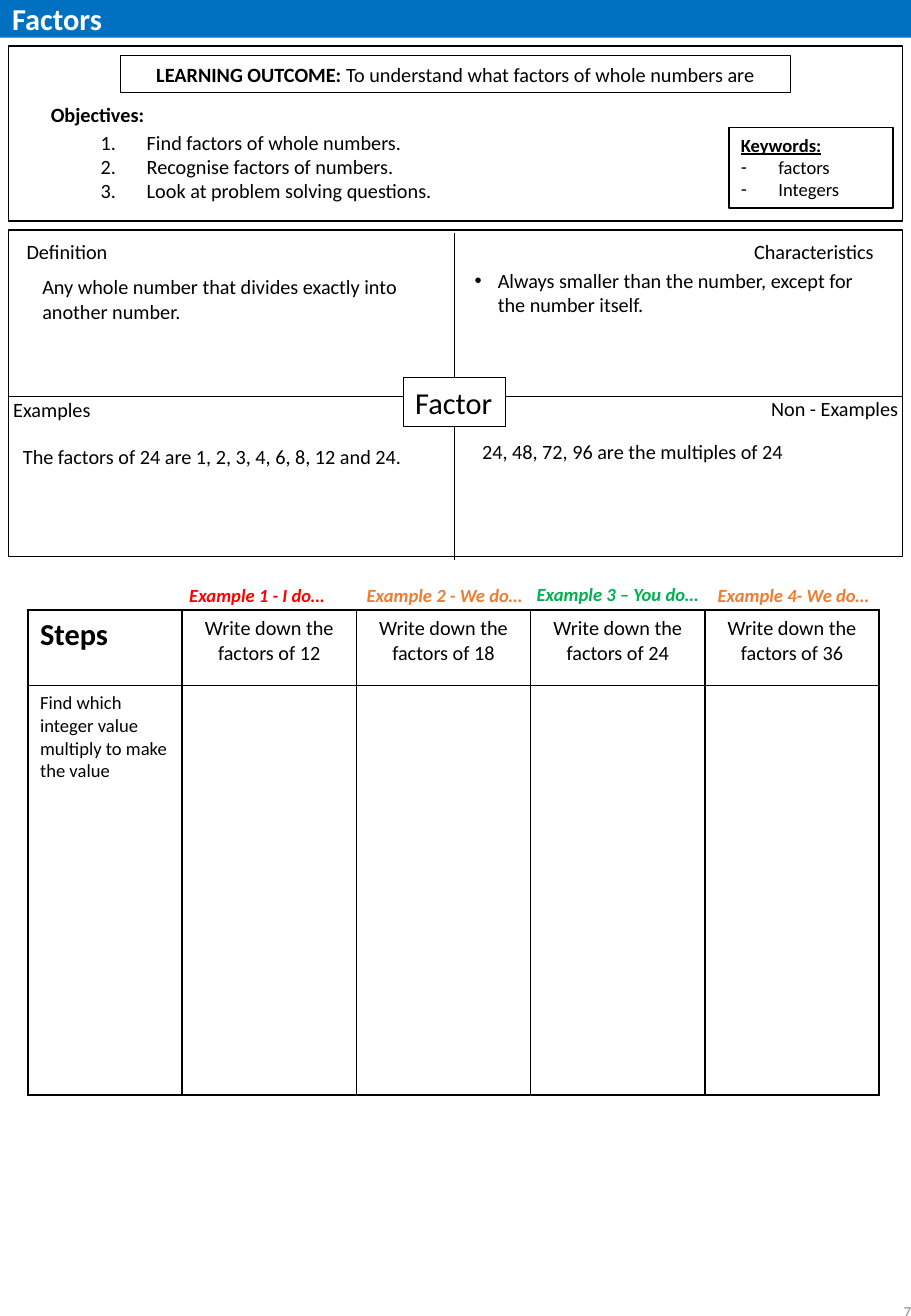
from lxml import etree
from pptx import Presentation
from pptx import util as u
from pptx.dml.color import RGBColor
from pptx.enum import shapes, text
from pptx.oxml.ns import qn

COLS, ROWS = 750, 1083
UNIT = u.Inches(0.01)
FONT = "Calibri"
COLORS = {"black": "000000", "white": "FFFFFF", "blue": "0070C0", "red": "FF0000",
          "orange": "ED7D31", "green": "00B050", "grey": "8C8C8C"}
LEFT, CENTER, RIGHT = text.PP_ALIGN.LEFT, text.PP_ALIGN.CENTER, text.PP_ALIGN.RIGHT

TITLE = "Factors"
PAGE_NUMBER = "7"
OUTCOME = [("LEARNING OUTCOME:", {"bold": True}),
           (" To understand what factors of whole numbers are", {})]
OBJECTIVES = ["Find factors of whole numbers.", "Recognise factors of numbers.",
              "Look at problem solving questions."]
KEYWORDS = ["factors", "Integers"]
QUADRANT_LABELS = [("Definition", (12, 192, 88, 30)), ("Characteristics", (611, 192, 120, 30)),
                   ("Examples", (1, 322, 85, 30)), ("Non - Examples", (625, 321, 126, 30))]
QUADRANT_TEXTS = [
    ("Any whole number that divides exactly into another number.", (25, 221, 334, 50), None),
    ("Always smaller than the number, except for the number itself.", (381, 216, 354, 50), "•"),
    ("The factors of 24 are 1, 2, 3, 4, 6, 8, 12 and 24.", (9, 361, 371, 30), None),
    ("24, 48, 72, 96 are the multiples of 24", (387, 357, 339, 30), None)]
EXAMPLES = [("Example 1 - I do…", "red", (146, 476, 133, 29)),
            ("Example 2 - We do…", "orange", (292, 476, 150, 29)),
            ("Example 3 – You do…", "green", (432, 475, 156, 29)),
            ("Example 4- We do…", "orange", (581, 476, 150, 29))]
EXAMPLE_NUMBERS = [12, 18, 24, 36]
STEP = "Find which integer value multiply to make the value"

MARGIN = 7
FRAME_WIDTH = COLS - 2 * MARGIN
OUTCOME_FRAME = (MARGIN, 38, FRAME_WIDTH, 144)
MODEL_FRAME = (MARGIN, 189, FRAME_WIDTH, 269)
DIVIDERS = [(MARGIN, 326, COLS - MARGIN, 326), (374, 192, 374, 461)]
STEP_COLUMN, EXAMPLE_COLUMN = 127, 143.5
HEADER_ROW, WORK_ROW = 62, 337


def color(name):
    return RGBColor.from_string(COLORS[name])


def grid(values):
    return [int(value * UNIT) for value in values]


def style(font, size=12, ink="black", **flags):
    font.name, font.size = FONT, u.Pt(size)
    font.color.rgb = color(ink)
    for flag, value in flags.items():
        setattr(font, flag, value)


def add_bullet(para, mark, indent):
    props = para._p.get_or_add_pPr()
    props.set("marL", str(int(indent * UNIT)))
    props.set("indent", str(-int(indent * UNIT)))
    if mark == "1.":
        etree.SubElement(props, qn("a:buAutoNum"), type="arabicPeriod")
    else:
        etree.SubElement(props, qn("a:buFont"), typeface="Arial")
        etree.SubElement(props, qn("a:buChar"), char=mark)


def write(frame, lines, align=LEFT, mark=None, indent=0, wrap=True, **font):
    frame.word_wrap = wrap
    frame.text = "\n".join(lines)
    for para in frame.paragraphs:
        para.alignment = align
        if mark:
            add_bullet(para, mark, indent)
        for span in para.runs:
            style(span.font, **font)


def add_text(page, place, lines, **options):
    box = page.shapes.add_textbox(*grid(place))
    write(box.text_frame, lines, **options)
    return box


def add_frame(page, place, width=1.0, fill=None):
    box = page.shapes.add_shape(shapes.MSO_SHAPE.RECTANGLE, *grid(place))
    box.shadow.inherit = False
    box.line.color.rgb = color("black")
    box.line.width = u.Pt(width)
    if fill:
        box.fill.solid()
        box.fill.fore_color.rgb = color(fill)
    else:
        box.fill.background()
    box.text_frame.vertical_anchor = text.MSO_ANCHOR.TOP
    return box


def add_divider(page, ends):
    line = page.shapes.add_connector(shapes.MSO_CONNECTOR.STRAIGHT, *grid(ends))
    line.line.color.rgb = color("black")
    line.line.width = u.Pt(0.5)
    etree.SubElement(line._element.spPr, qn("a:effectLst"))


def add_title(page):
    title = page.shapes.title
    title.left, title.top, title.width, title.height = grid((0, 0, COLS, 31))
    title.fill.solid()
    title.fill.fore_color.rgb = color("blue")
    write(title.text_frame, [TITLE], size=18, ink="white", bold=True)
    title.text_frame.auto_size = text.MSO_AUTO_SIZE.NONE
    title.text_frame.vertical_anchor = text.MSO_ANCHOR.MIDDLE


def add_outcome(page):
    add_frame(page, OUTCOME_FRAME)
    add_text(page, (32, 79, 126, 30), ["Objectives:"], bold=True)
    add_text(page, (73, 102, 553, 71), OBJECTIVES, mark="1.", indent=38)
    banner = add_frame(page, (99, 46, 552, 30), 0.75)
    para = banner.text_frame.paragraphs[0]
    para.alignment = CENTER
    for words, flags in OUTCOME:
        span = para.add_run()
        span.text = words
        style(span.font, **flags)
    keywords = add_frame(page, (600, 105, 135, 66)).text_frame
    write(keywords, ["Keywords:"] + KEYWORDS, size=11)
    heading, *items = keywords.paragraphs
    style(heading.runs[0].font, 11, bold=True, underline=True)
    for para in items:
        add_bullet(para, "-", 31)


def add_model(page):
    add_frame(page, MODEL_FRAME, fill="white")
    for ends in DIVIDERS:
        add_divider(page, ends)
    for label, place in QUADRANT_LABELS:
        add_text(page, place, [label], wrap=False)
    centre = add_frame(page, (332, 311, 84, 40), 0.75, "white")
    write(centre.text_frame, ["Factor"], size=18, wrap=False)
    for words, place, mark in QUADRANT_TEXTS:
        add_text(page, place, [words], mark=mark, indent=19)


def add_borders(cell):
    props = cell._tc.get_or_add_tcPr()
    for side in ("a:lnL", "a:lnR", "a:lnT", "a:lnB"):
        line = etree.SubElement(props, qn(side), w=str(u.Pt(1)))
        fill = etree.SubElement(line, qn("a:solidFill"))
        etree.SubElement(fill, qn("a:srgbClr"), val=COLORS["black"])


def add_steps(page):
    widths = [STEP_COLUMN] + [EXAMPLE_COLUMN] * len(EXAMPLE_NUMBERS)
    heights = [HEADER_ROW, WORK_ROW]
    place = (23, 502, sum(widths), sum(heights))
    table = page.shapes.add_table(len(heights), len(widths), *grid(place)).table
    table.first_row = table.horz_banding = False
    for column, width in zip(table.columns, grid(widths)):
        column.width = width
    for row, height in zip(table.rows, grid(heights)):
        row.height = height
    for cell in table.iter_cells():
        add_borders(cell)
        cell.fill.background()
    write(table.cell(0, 0).text_frame, ["Steps"], size=18, bold=True)
    write(table.cell(1, 0).text_frame, [STEP], size=11)
    for column, number in enumerate(EXAMPLE_NUMBERS, 1):
        write(table.cell(0, column).text_frame,
              [f"Write down the factors of {number}"], align=CENTER)
    for label, ink, place in EXAMPLES:
        add_text(page, place, [label], wrap=False, size=11, ink=ink, bold=True, italic=True)


def main():
    deck = Presentation()
    deck.slide_width, deck.slide_height = grid((COLS, ROWS))
    page = deck.slides.add_slide(deck.slide_layouts[5])
    add_title(page)
    add_outcome(page)
    add_steps(page)
    add_model(page)
    number = add_text(page, (591, 1050, 169, 58), [PAGE_NUMBER], align=RIGHT, size=9, ink="grey")
    number.text_frame.vertical_anchor = text.MSO_ANCHOR.MIDDLE
    deck.save("out.pptx")


if __name__ == "__main__":
    main()
